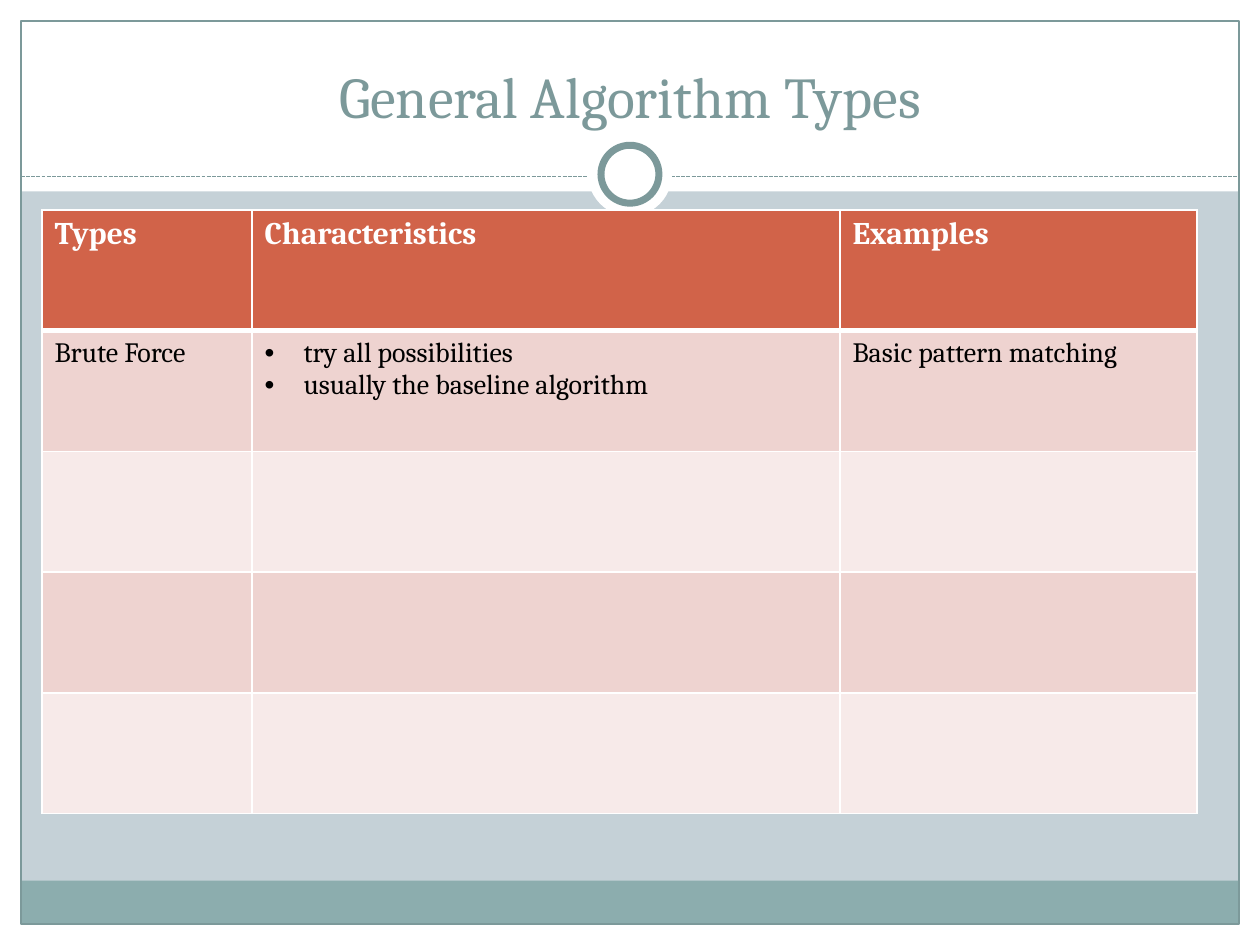
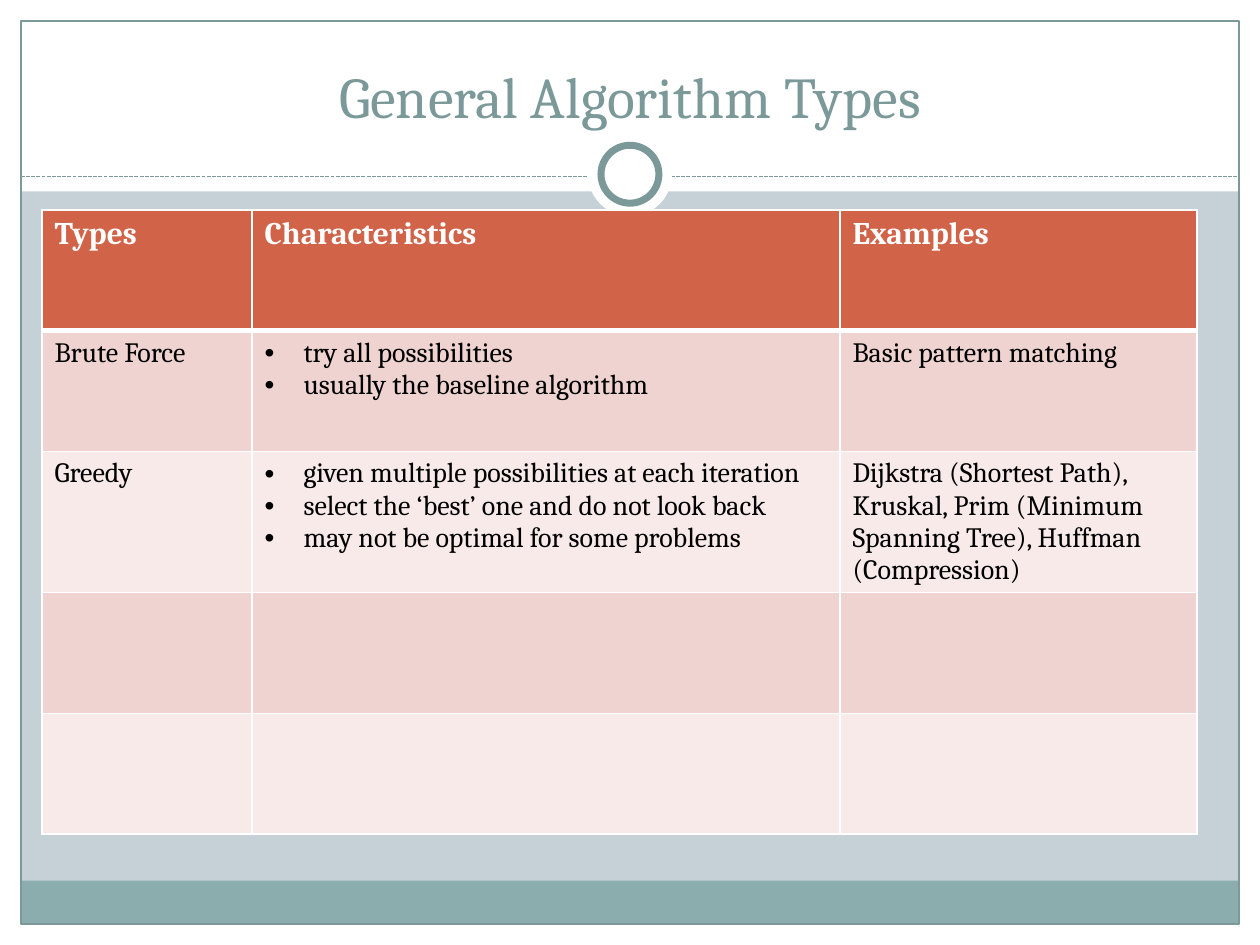
from lxml.etree import SubElement
from pptx import Presentation
from pptx.dml.color import RGBColor
from pptx.enum.dml import MSO_LINE_DASH_STYLE as Dash
from pptx.enum.shapes import MSO_CONNECTOR as Connector
from pptx.enum.shapes import MSO_SHAPE as Shape
from pptx.enum.text import MSO_ANCHOR as Anchor
from pptx.enum.text import MSO_AUTO_SIZE as AutoSize
from pptx.enum.text import PP_ALIGN as Align
from pptx.oxml.ns import qn
from pptx.util import Inches, Pt

WHITE = RGBColor(0xFF, 0xFF, 0xFF)
BLACK = RGBColor(0x00, 0x00, 0x00)
MIST = RGBColor(0xC5, 0xD1, 0xD7)
TEAL = RGBColor(0x7C, 0x99, 0x9A)
FOOTER_TEAL = RGBColor(0x8C, 0xAD, 0xAE)
BRICK = RGBColor(0xD1, 0x63, 0x49)
ROSE = RGBColor(0xEE, 0xD3, 0xD0)
PALE_ROSE = RGBColor(0xF7, 0xEA, 0xE9)

FONT = "Cambria"
GRID_COLUMNS, GRID_ROWS = 60, 45
TABLE_COLUMNS = (10, 28, 17)
TABLE_ROWS = 5
ROW_HEIGHT = 5.75
BULLET_INDENT = Inches(0.31)

HEADINGS = ("Types", "Characteristics", "Examples")
BRUTE_FORCE = (
    "Brute Force",
    ["try all possibilities", "usually the baseline algorithm"],
    "Basic pattern matching",
)
GREEDY = (
    "Greedy",
    [
        "given multiple possibilities at each iteration",
        "select the ‘best’ one and do not look back",
        "may not be optimal for some problems",
    ],
    "Dijkstra (Shortest Path), Kruskal, Prim (Minimum Spanning Tree), "
    "Huffman (Compression)",
)


class Deck:
    def __init__(self):
        self.presentation = Presentation()
        self.presentation.slide_width = Inches(10)
        self.presentation.slide_height = Inches(7.5)
        self.slide = None

    def x(self, columns):
        return round(self.presentation.slide_width * columns / GRID_COLUMNS)

    def y(self, rows):
        return round(self.presentation.slide_height * rows / GRID_ROWS)

    def box(self, left, top, width, height):
        return self.x(left), self.y(top), self.x(width), self.y(height)

    def start_slide(self, title):
        title_only = self.presentation.slide_layouts[5]
        self.slide = self.presentation.slides.add_slide(title_only)
        background = self.slide.background.fill
        background.solid()
        background.fore_color.rgb = MIST
        self.frame()
        self.title(title)

    def frame(self):
        edges = ((0, 44, 60, 1), (0, 0, 60, 9.12), (0, 0, 1, 45), (59, 0, 1, 45))
        for edge in edges:
            self.shape(Shape.RECTANGLE, edge, WHITE)
        self.shape(Shape.RECTANGLE, (1, 41.94, 58, 2.06), FOOTER_TEAL)
        self.shape(Shape.RECTANGLE, (1, 1, 58, 43), line=TEAL, weight=0.75)
        self.dashed_rule(1, 59, 8.4)
        self.shape(Shape.OVAL, (28, 6.3, 4, 4), WHITE)
        self.shape(Shape.OVAL, (28.62, 6.92, 2.76, 2.76), WHITE, TEAL, 4)

    def shape(self, kind, area, fill=None, line=None, weight=0):
        shape = self.slide.shapes.add_shape(kind, *self.box(*area))
        shape.shadow.inherit = False
        if fill is None:
            shape.fill.background()
        else:
            shape.fill.solid()
            shape.fill.fore_color.rgb = fill
        if line is None:
            shape.line.fill.background()
        else:
            shape.line.color.rgb = line
            shape.line.width = Pt(weight)

    def dashed_rule(self, start, end, row):
        rule = self.slide.shapes.add_connector(
            Connector.STRAIGHT, self.x(start), self.y(row), self.x(end), self.y(row)
        )
        rule.line.color.rgb = TEAL
        rule.line.width = Pt(0.75)
        rule.line.dash_style = Dash.SQUARE_DOT
        SubElement(rule._element.spPr, qn("a:effectLst"))

    def title(self, text):
        title = self.slide.shapes.title
        title.left, title.top, title.width, title.height = self.box(2, 1.5, 56, 5)
        self.slide.shapes._spTree.append(title._element)
        frame = title.text_frame
        frame.auto_size = AutoSize.NONE
        frame.vertical_anchor = Anchor.BOTTOM
        paragraph = frame.paragraphs[0]
        paragraph.alignment = Align.CENTER
        self.run(paragraph, text, 33, TEAL)

    def run(self, paragraph, text, size, color, bold=False):
        run = paragraph.add_run()
        run.text = text
        run.font.name = FONT
        run.font.size = Pt(size)
        run.font.bold = bold
        run.font.color.rgb = color

    def table(self, algorithms):
        area = self.box(2, 10, sum(TABLE_COLUMNS), TABLE_ROWS * ROW_HEIGHT)
        table = self.slide.shapes.add_table(
            TABLE_ROWS, len(TABLE_COLUMNS), *area
        ).table
        for column, width in zip(table.columns, TABLE_COLUMNS):
            column.width = self.x(width)
        for row in table.rows:
            row.height = self.y(ROW_HEIGHT)
        blank = ("",) * len(TABLE_COLUMNS)
        contents = [HEADINGS, *algorithms]
        contents += [blank] * (TABLE_ROWS - len(contents))
        for index, (row, texts) in enumerate(zip(table.rows, contents)):
            for cell, content in zip(row.cells, texts):
                self.cell(cell, content, index)

    def cell(self, cell, content, row):
        self.borders(cell, top=3 if row == 1 else 1, bottom=3 if row == 0 else 1)
        cell.fill.solid()
        if row == 0:
            cell.fill.fore_color.rgb = BRICK
            style = (18, WHITE, True)
        else:
            cell.fill.fore_color.rgb = ROSE if row % 2 else PALE_ROSE
            style = (16, BLACK, False)
        bulleted = isinstance(content, list)
        lines = content if bulleted else [content]
        for index, text in enumerate(filter(None, lines)):
            frame = cell.text_frame
            paragraph = frame.add_paragraph() if index else frame.paragraphs[0]
            if bulleted:
                self.bullet(paragraph)
            self.run(paragraph, text, *style)

    def borders(self, cell, top, bottom):
        properties = cell._tc.get_or_add_tcPr()
        for side, weight in (("L", 1), ("R", 1), ("T", top), ("B", bottom)):
            border = SubElement(properties, qn(f"a:ln{side}"), w=str(Pt(weight)))
            fill = SubElement(border, qn("a:solidFill"))
            SubElement(fill, qn("a:srgbClr"), val=str(WHITE))

    def bullet(self, paragraph):
        properties = paragraph._p.get_or_add_pPr()
        properties.set("marL", str(BULLET_INDENT))
        properties.set("indent", str(-BULLET_INDENT))
        SubElement(properties, qn("a:buFont"), typeface="Arial")
        SubElement(properties, qn("a:buChar"), char="•")


def main():
    deck = Deck()
    for algorithms in ([BRUTE_FORCE], [BRUTE_FORCE, GREEDY]):
        deck.start_slide("General Algorithm Types")
        deck.table(algorithms)
    deck.presentation.save("out.pptx")


if __name__ == "__main__":
    main()
